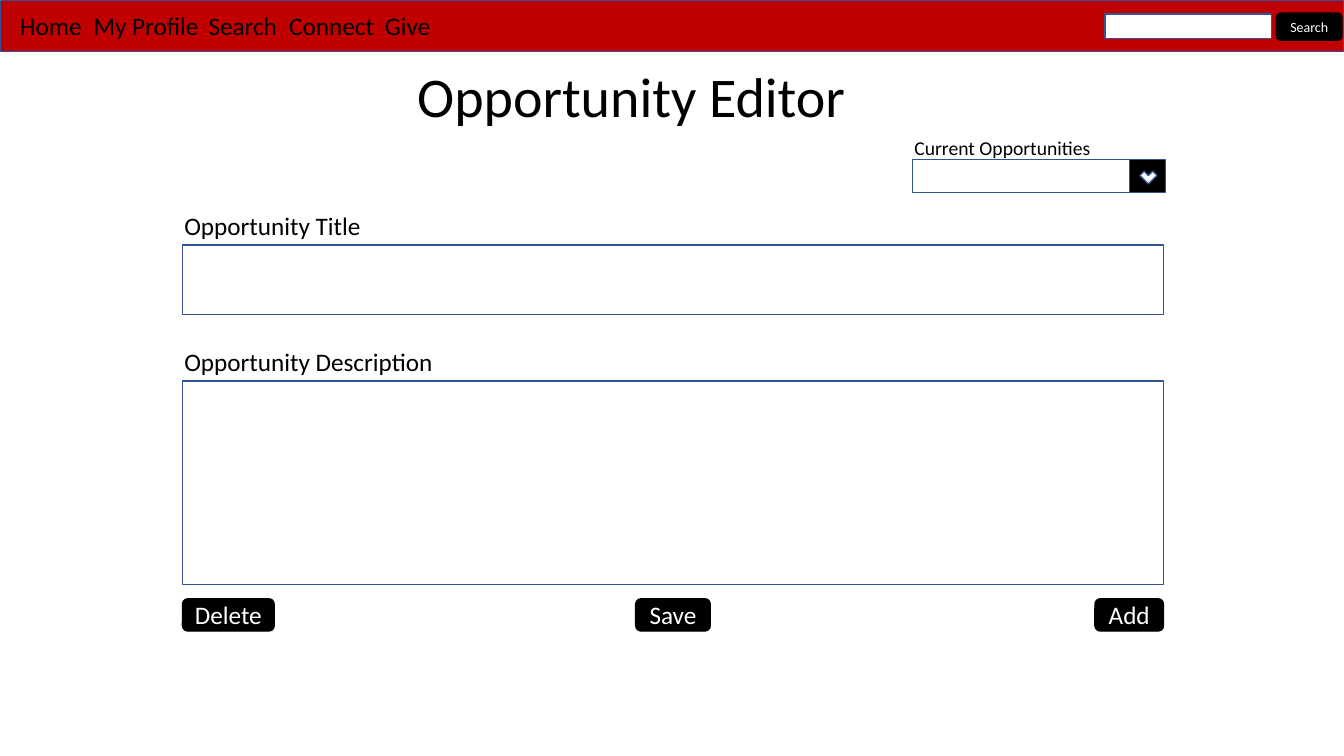
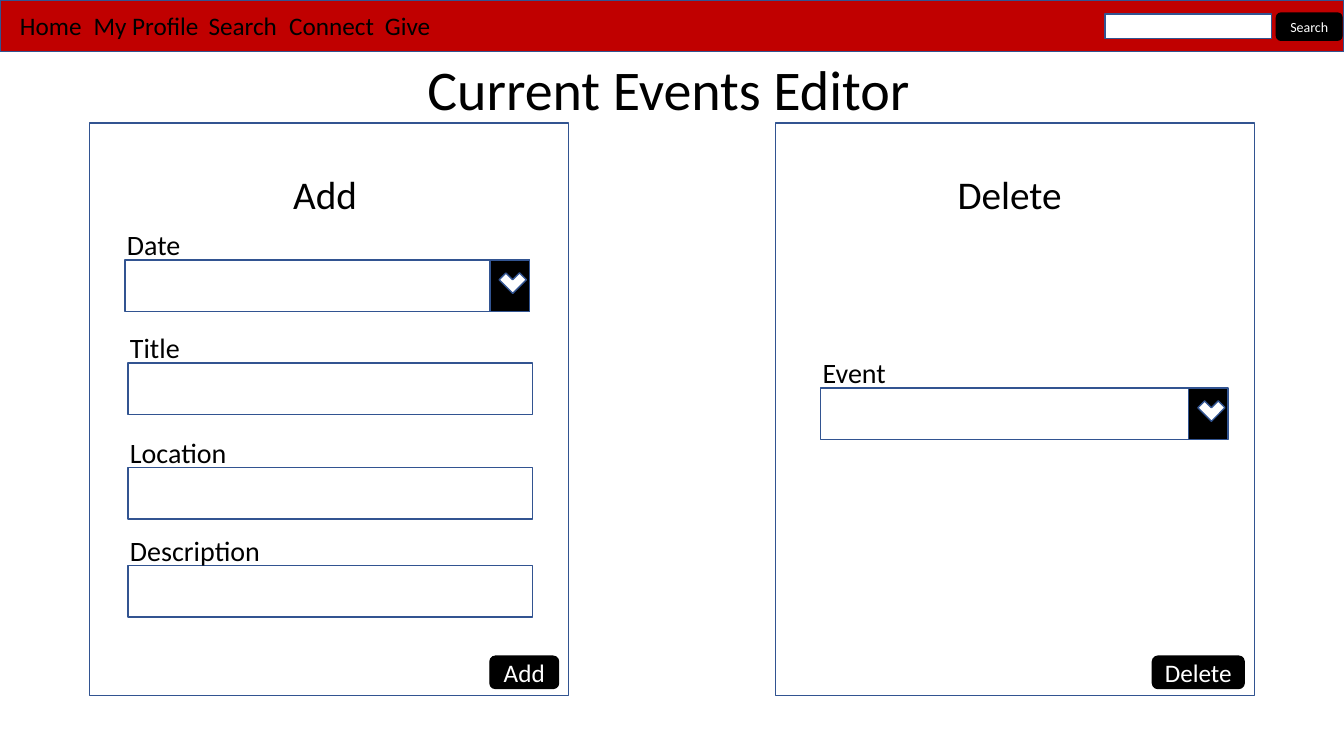
from pptx import Presentation
from pptx.dml.color import RGBColor
from pptx.enum.shapes import MSO_SHAPE
from pptx.enum.text import MSO_ANCHOR, PP_ALIGN
from pptx.oxml import parse_xml
from pptx.oxml.ns import nsdecls
from pptx.util import Inches, Pt

WIDTH, HEIGHT = 13.33, 7.5
RED, BLACK, WHITE, BLUE = "C00000", "000000", "FFFFFF", "325491"
FONT = "Calibri"
CHEVRON = MSO_SHAPE.from_xml("corner")

NAVIGATION = [("Home", 0), ("My Profile", 0.73), ("Search", 1.87),
              ("Connect", 2.67), ("Give", 3.62)]
BUTTON_WIDTHS = {"Add": 0.68, "Delete": 0.91, "Save": 0.74}
LABEL_RISE = {14: 0.28, 18: 0.39, 20: 0.37}
LABEL_INSET = 0.08

FORM_LEFT, FORM_WIDTH = 1.81, 9.73
FORM_BUTTONS = [("Delete", 0), ("Save", 0.5), ("Add", 1)]
FORM_BUTTON_TOP = 5.94
OPPORTUNITY = {
    "title": ("Opportunity Editor", (4.04, 0.56, 4.53, 0.77)),
    "fields": [
        ("Opportunity Title", 18, (FORM_LEFT, 2.43, FORM_WIDTH, 0.69), None),
        ("Opportunity Description", 18, (FORM_LEFT, 3.78, FORM_WIDTH, 2.02), None),
        ("Current Opportunities", 14, (9.05, 1.58, 2.49, 0.33), (11.2, 0.36, 0.12)),
    ],
}

PANEL_TOP, PANEL_WIDTH, PANEL_HEIGHT = 1.22, 4.75, 5.68
FIELD_WIDTH, FIELD_HEIGHT = 4.01, 0.51
EVENTS = {
    "title": ("Current Events Editor", (4.14, 0.49, 5.06, 0.77)),
    "panels": [
        ("Add", 0.89, 0.91, [
            ("Date", 1.24, 2.58, (4.86, 0.39, 0.19)),
            ("Title", 1.27, 3.6, None),
            ("Location", 1.27, 4.64, None),
            ("Description", 1.27, 5.61, None),
        ]),
        ("Delete", 7.69, 1.33, [("Event", 8.14, 3.85, (11.79, 0.39, 0.19))]),
    ],
}


def color(value):
    return RGBColor.from_string(value)


def write(frame, text, size, ink):
    paragraph = frame.paragraphs[0]
    run = paragraph.add_run()
    run.text = text
    for name, value in {"name": FONT, "size": Pt(size)}.items():
        setattr(run.font, name, value)
    run.font.color.rgb = color(ink)
    return paragraph


def add_box(slide, box, fill=WHITE, line=BLUE, kind=MSO_SHAPE.RECTANGLE):
    shape = slide.shapes.add_shape(kind, *map(Inches, box))
    shape.shadow.inherit = False
    shape.fill.solid()
    shape.fill.fore_color.rgb = color(fill)
    shape.line.color.rgb = color(line)
    shape.line.width = Pt(1)
    return shape


def add_text(slide, text, box, size, wrap=True):
    frame = slide.shapes.add_textbox(*map(Inches, box)).text_frame
    frame.word_wrap = wrap
    return write(frame, text, size, BLACK)


def add_button(slide, text, box, size=18):
    frame = add_box(slide, box, BLACK, BLACK, MSO_SHAPE.ROUNDED_RECTANGLE).text_frame
    for name, value in {"word_wrap": False, "vertical_anchor": MSO_ANCHOR.MIDDLE}.items():
        setattr(frame, name, value)
    write(frame, text, size, WHITE).alignment = PP_ALIGN.CENTER


def add_field(slide, label, size, box, dropdown):
    left, top, width, height = box
    add_box(slide, box)
    label_box = (left - LABEL_INSET, top - LABEL_RISE[size], width, 0.4)
    add_text(slide, label, label_box, size)
    if dropdown:
        button_left, button_width, arrow_size = dropdown
        add_box(slide, (button_left, top, button_width, height), BLACK)
        arrow_box = (button_left + 0.13, top + 0.1, arrow_size, arrow_size)
        add_box(slide, arrow_box, kind=CHEVRON).rotation = 315


def add_page(presentation, title, title_box):
    slide = presentation.slides.add_slide(presentation.slide_layouts[6])
    add_box(slide, (0, 0, WIDTH, 0.51), RED)
    add_box(slide, (10.96, 0.14, 1.65, 0.24))
    names = "\t".join(name for name, _ in NAVIGATION)
    navigation = add_text(slide, names, (0.1, 0.05, 4.5, 0.4), 18)
    stops = "".join(f'<a:tab pos="{Inches(stop)}" algn="l"/>' for _, stop in NAVIGATION[1:])
    tabs = parse_xml(f'<a:tabLst {nsdecls("a")}>{stops}</a:tabLst>')
    navigation._p.get_or_add_pPr().append(tabs)
    add_button(slide, "Search", (12.66, 0.13, 0.65, 0.27), 10)
    add_text(slide, title, title_box, 40)
    return slide


def build_opportunity(presentation):
    slide = add_page(presentation, *OPPORTUNITY["title"])
    for field in OPPORTUNITY["fields"]:
        add_field(slide, *field)
    for text, share in FORM_BUTTONS:
        width = BUTTON_WIDTHS[text]
        left = FORM_LEFT + share * (FORM_WIDTH - width)
        add_button(slide, text, (left, FORM_BUTTON_TOP, width, 0.32))


def build_events(presentation):
    slide = add_page(presentation, *EVENTS["title"])
    for name, left, heading_width, fields in EVENTS["panels"]:
        add_box(slide, (left, PANEL_TOP, PANEL_WIDTH, PANEL_HEIGHT))
        heading_left = left + (PANEL_WIDTH - heading_width) / 2
        add_text(slide, name, (heading_left, 1.64, heading_width, 0.57), 28)
        for label, field_left, top, dropdown in fields:
            box = (field_left, top, FIELD_WIDTH, FIELD_HEIGHT)
            add_field(slide, label, 20, box, dropdown)
        width = BUTTON_WIDTHS[name]
        add_button(slide, name, (left + PANEL_WIDTH - 0.1 - width, 6.51, width, 0.32))


def main():
    presentation = Presentation()
    presentation.slide_width = Inches(WIDTH)
    presentation.slide_height = Inches(HEIGHT)
    build_opportunity(presentation)
    build_events(presentation)
    presentation.save("out.pptx")


if __name__ == "__main__":
    main()
